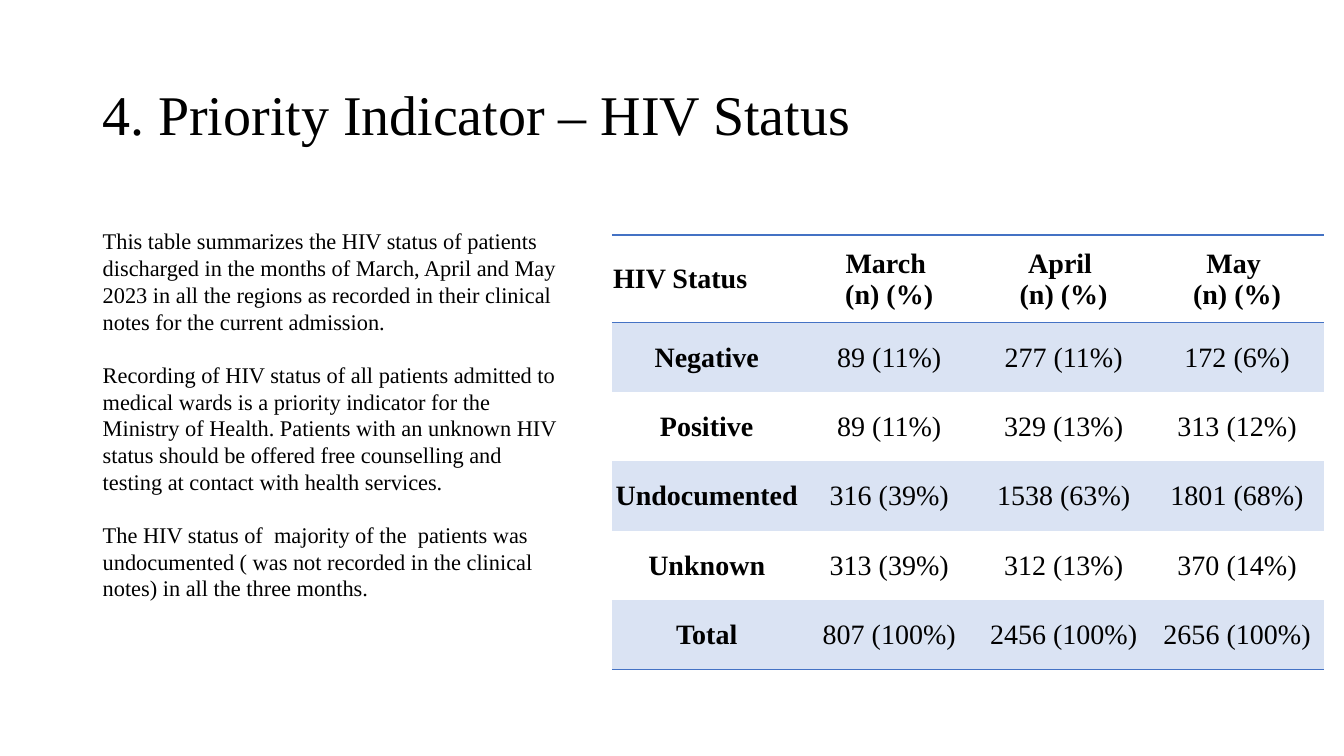
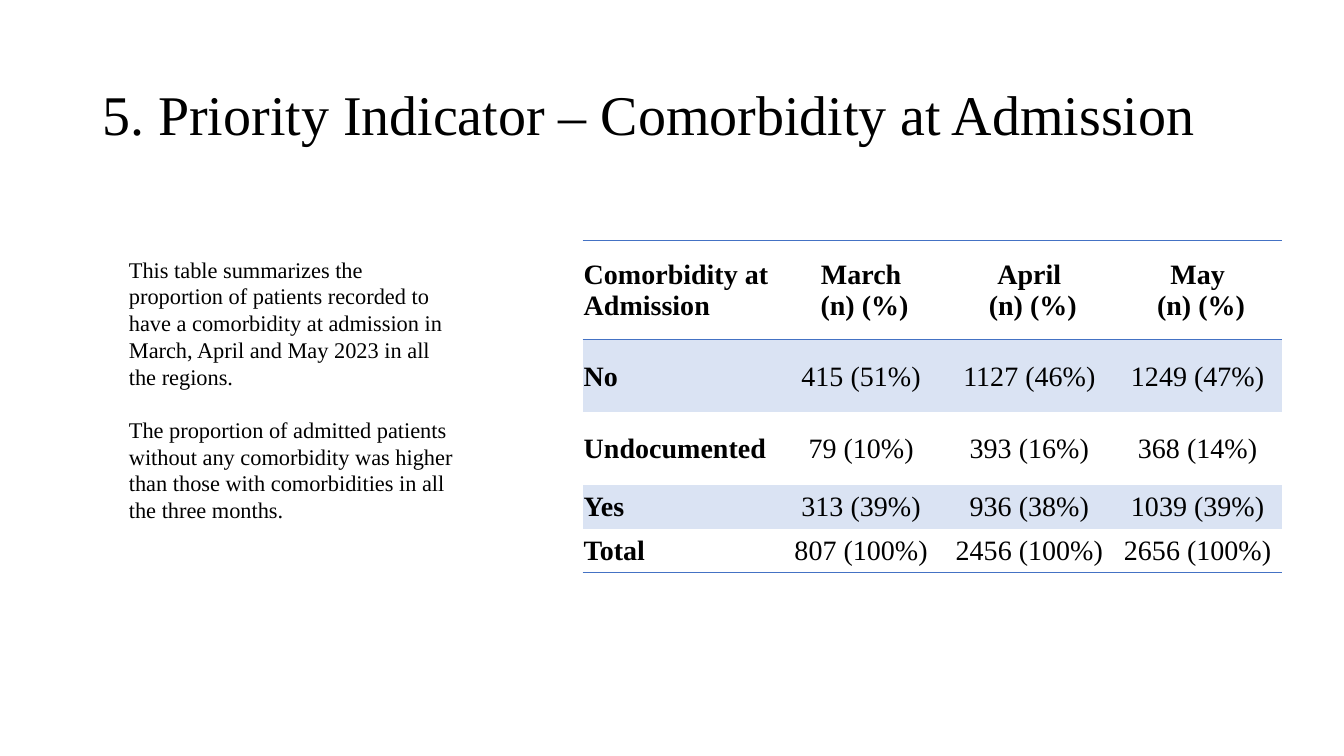
from lxml.etree import SubElement
from pptx import Presentation
from pptx.dml.color import RGBColor
from pptx.enum.text import MSO_ANCHOR, PP_ALIGN
from pptx.oxml.ns import qn
from pptx.util import Cm, Pt

FONT = "Times New Roman"
BLACK = RGBColor(0x00, 0x00, 0x00)
BLUE = RGBColor(0x44, 0x72, 0xC4)
PALE_BLUE = RGBColor(0xDA, 0xE3, 0xF3)
NO_GRID_STYLE = "{2D5ABB26-0587-4C30-8999-92F81FD0307C}"

TITLE_BOX = (2.33, 2.08, 29.21, 2.44)

SLIDES = [
    {
        "title": "4. Priority Indicator – HIV Status",
        "notes_box": (2.34, 5.61, 12.14, 10.5),
        "notes": [
            "This table summarizes the HIV status of patients discharged in the months of "
            "March, April and May 2023 in all the regions as recorded in their clinical "
            "notes for the current admission.",
            "Recording of HIV status of all patients admitted to medical wards is a priority "
            "indicator for the Ministry of Health. Patients with an unknown HIV status should "
            "be offered free counselling and testing at contact with health services.",
            "The HIV status of  majority of the  patients was undocumented ( was not recorded "
            "in the clinical notes) in all the three months.",
        ],
        "table_at": (15.42, 5.92),
        "cols": [4.78, 4.42, 4.37, 4.37],
        "row_heights": [2.2] + [1.75] * 5,
        "label_align": PP_ALIGN.CENTER,
        "rows": [
            ("HIV Status", "March \n(n) (%)", "April \n(n) (%)", "May \n(n) (%)"),
            ("Negative", "89 (11%)", "277 (11%)", "172 (6%)"),
            ("Positive", "89 (11%)", "329 (13%)", "313 (12%)"),
            ("Undocumented", "316 (39%)", "1538 (63%)", "1801 (68%)"),
            ("Unknown", "313 (39%)", "312 (13%)", "370 (14%)"),
            ("Total", "807 (100%)", "2456 (100%)", "2656 (100%)"),
        ],
    },
    {
        "title": "5. Priority Indicator – Comorbidity at Admission",
        "notes_box": (3, 6.32, 8.84, 7.77),
        "notes": [
            "This table summarizes the proportion of patients recorded to have a comorbidity "
            "at admission in March, April and May 2023 in all the regions.",
            "The proportion of admitted patients without any comorbidity was higher than "
            "those with comorbidities in all the three months.",
        ],
        "table_at": (14.68, 6.07),
        "cols": [4.9] + [4.24] * 3,
        "row_heights": [2.49, 1.83, 1.83, 1.1, 1.1],
        "label_align": PP_ALIGN.LEFT,
        "rows": [
            ("Comorbidity at Admission", "March\n (n) (%)", "April\n (n) (%)", "May\n (n) (%)"),
            ("No", "415 (51%)", "1127 (46%)", "1249 (47%)"),
            ("Undocumented", "79 (10%)", "393 (16%)", "368 (14%)"),
            ("Yes", "313 (39%)", "936 (38%)", "1039 (39%)"),
            ("Total", "807 (100%)", "2456 (100%)", "2656 (100%)"),
        ],
    },
]


def style_text(tf, size, bold=False, align=PP_ALIGN.LEFT):
    for p in tf.paragraphs:
        p.alignment = align
        for r in p.runs:
            r.font.name = FONT
            r.font.size = Pt(size)
            r.font.bold = bold
            r.font.color.rgb = BLACK


def add_text(s, box, text, size):
    tf = s.shapes.add_textbox(*map(Cm, box)).text_frame
    tf.word_wrap = True
    tf.text = text
    style_text(tf, size)
    return tf


def add_rules(cell, sides):
    tcPr = cell._tc.get_or_add_tcPr()
    for side in sides:
        ln = SubElement(tcPr, qn(f"a:ln{side}"), w=str(Pt(1)))
        SubElement(SubElement(ln, qn("a:solidFill")), qn("a:srgbClr"), val=str(BLUE))


def add_status_table(s, data):
    rows, cols, heights = data["rows"], data["cols"], data["row_heights"]
    size = (sum(cols), sum(heights))
    frame = s.shapes.add_table(len(rows), len(cols), *map(Cm, data["table_at"] + size))
    frame.element.xpath(".//a:tableStyleId")[0].text = NO_GRID_STYLE
    table = frame.table
    for column, width in zip(table.columns, cols):
        column.width = Cm(width)
    for row, height in zip(table.rows, heights):
        row.height = Cm(height)

    for i, values in enumerate(rows):
        sides = "TB" if i == 0 else "B" if i == len(rows) - 1 else ""
        for j, value in enumerate(values):
            cell = table.cell(i, j)
            cell.text = value
            cell.vertical_anchor = MSO_ANCHOR.MIDDLE
            cell.margin_left = cell.margin_right = cell.margin_top = Cm(0.03)
            cell.margin_bottom = 0
            align = PP_ALIGN.CENTER
            if j == 0:
                align = data["label_align"] if i else PP_ALIGN.LEFT
            style_text(cell.text_frame, 20, i == 0 or j == 0, align)
            add_rules(cell, sides)
            if i % 2:
                cell.fill.solid()
                cell.fill.fore_color.rgb = PALE_BLUE
            else:
                cell.fill.background()


def main():
    prs = Presentation()
    prs.slide_width, prs.slide_height = Cm(33.87), Cm(19.05)
    for data in SLIDES:
        s = prs.slides.add_slide(prs.slide_layouts[6])
        title = add_text(s, TITLE_BOX, data["title"], 40)
        title.paragraphs[0].line_spacing = 0.9
        add_status_table(s, data)
        notes = add_text(s, data["notes_box"], "\n".join(data["notes"]), 16)
        for p in notes.paragraphs[1:]:
            p.space_before = Pt(18.4)
    prs.save("out.pptx")


if __name__ == "__main__":
    main()
